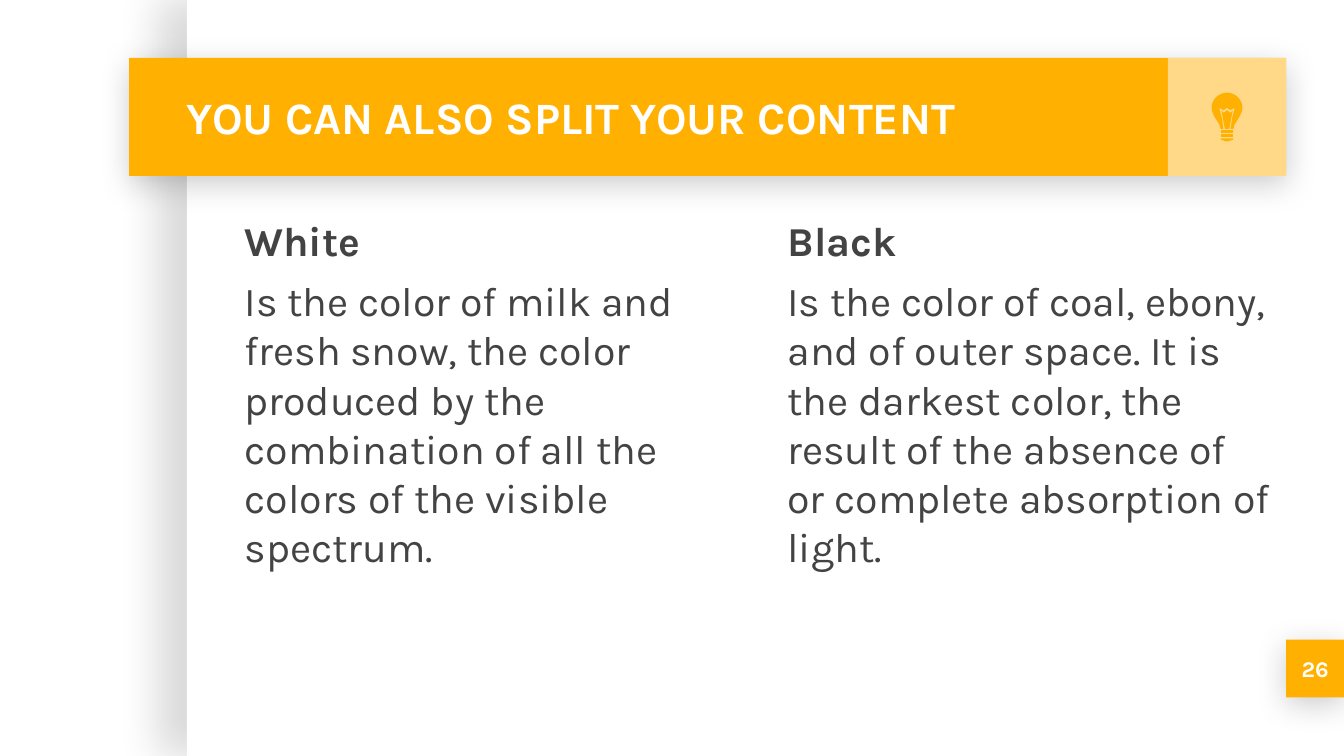
from math import cos, pi, sin

from lxml import etree
from pptx import Presentation
from pptx.dml.color import RGBColor
from pptx.enum.shapes import MSO_SHAPE
from pptx.enum.text import MSO_ANCHOR, MSO_AUTO_SIZE, PP_ALIGN
from pptx.oxml.ns import qn
from pptx.util import Inches, Pt

RECT = MSO_SHAPE.RECTANGLE
TOP, MIDDLE = MSO_ANCHOR.TOP, MSO_ANCHOR.MIDDLE
LEFT, CENTER = PP_ALIGN.LEFT, PP_ALIGN.CENTER
FIXED = MSO_AUTO_SIZE.NONE

TITLE = "YOU CAN ALSO SPLIT YOUR CONTENT"
COLUMNS = [
    ("White", "Is the color of milk and fresh snow, the color produced by "
              "the combination of all the colors of the visible spectrum."),
    ("Black", "Is the color of coal, ebony, and of outer space. It is the "
              "darkest color, the result of the absence of or complete "
              "absorption of light."),
]
PAGE = "26"

THEME = {
    "font": "Karla", "white": "FFFFFF", "accent": "FFB000", "ink": "434343",
    "title": 24, "body": 22, "page": 12,
}
WIDE = 10
HIGH = WIDE * 9 / 16
EDGE, BAR_TOP, BAR = 9.57, 0.43, 0.88
BADGE = (EDGE, 4.76, 0.43, 0.43)
SIDE = {"alpha": 15, "blur": 22.5, "dist": 15, "angle": 180}
DROP = {"alpha": 20, "blur": 16.9, "dist": 3.8, "angle": 90}
TILES = [
    ((1.39, 0, WIDE - 1.39, HIGH), "white", 100, SIDE),
    (BADGE, "accent", 100, DROP),
    ((0.96, BAR_TOP, EDGE - 0.96, BAR), "accent", 100, DROP),
    ((EDGE - BAR, BAR_TOP, BAR, BAR), "white", 53, None),
]
COL_X, COL_Y, COL_W, COL_H, COL_STEP = 1.72, 1.5, 3.81, 3.7, 4.04

# Right halves of the bulb, in hundredths of an inch from its top centre.
BULB_X, BULB_Y, RADIUS, STEPS = 9.13, 0.69, 11.5, 12
DOME = [(RADIUS * sin(i * pi / 2 / STEPS), RADIUS * (1 - cos(i * pi / 2 / STEPS)))
        for i in range(STEPS + 1)]
GLASS = DOME + [
    (11, 14), (9.5, 17.5), (7, 21.5), (5.5, 24), (4.8, 27), (2.6, 27),
    (4, 18), (5.7, 12.2), (5.3, 11.6), (4.6, 11.8), (2.5, 13), (0.5, 11.5), (0, 11.4),
]
WIRE = [(0, 13), (2, 14.6), (3, 14.6), (4.2, 13.4), (1.6, 27)]
BANDS = [[(4.7, y), (4.7, y + 2)] for y in (31, 28)]
BASE = [(4.7, 34), (4.5, 35), (1, 36.2)]


def color(name):
    return RGBColor.from_string(THEME[name])


def paint(shape, name):
    shape.fill.solid()
    shape.fill.fore_color.rgb = color(name)
    shape.line.fill.background()
    shape.shadow.inherit = False


def fade(node, alpha):
    etree.SubElement(node, qn("a:alpha"), val=str(alpha * 1000))


def cast(shape, alpha, blur, dist, angle):
    effect = shape.element.spPr.find(qn("a:effectLst"))
    outer = etree.SubElement(
        effect, qn("a:outerShdw"), blurRad=str(Pt(blur)), dist=str(Pt(dist)),
        dir=str(angle * 60000), algn="bl", rotWithShape="0")
    fade(etree.SubElement(outer, qn("a:srgbClr"), val="000000"), alpha)


def add_tile(shapes, box, name, alpha, shade):
    tile = shapes.add_shape(RECT, *map(Inches, box))
    paint(tile, name)
    if alpha < 100:
        fade(tile.element.spPr.find(".//" + qn("a:srgbClr")), alpha)
    if shade:
        cast(tile, **shade)


def add_half(shapes, half):
    both = half + [(-x, y) for x, y in reversed(half)]
    dots = [(Inches(BULB_X + x / 100), Inches(BULB_Y + y / 100)) for x, y in both]
    path = shapes.build_freeform(*dots[0], scale=1.0)
    path.add_line_segments(dots[1:], close=True)
    paint(path.convert_to_shape(), "accent")


def write(shape, box, lines, size, name, anchor, align, gap=0):
    shape.left, shape.top, shape.width, shape.height = map(Inches, box)
    frame = shape.text_frame
    frame.text = "\n".join(lines)
    frame.word_wrap = True
    frame.auto_size = FIXED
    frame.vertical_anchor = anchor
    frame.margin_left = frame.margin_right = Inches(0.1)
    frame.margin_top = frame.margin_bottom = Inches(0.1)
    for i, para in enumerate(frame.paragraphs):
        para.alignment = align
        para.space_before = Pt(gap)
        props = para._p.get_or_add_pPr()
        props.set("marL", "0")
        props.set("indent", "0")
        etree.SubElement(props, qn("a:buNone"))
        font = para.runs[0].font
        font.name, font.size, font.bold = THEME["font"], Pt(THEME[size]), i == 0
        font.color.rgb = color(name)


def main():
    deck = Presentation()
    deck.slide_width, deck.slide_height = Inches(WIDE), Inches(HIGH)
    slide = deck.slides.add_slide(deck.slide_layouts[3])
    shapes = slide.shapes
    title, *bodies = list(slide.placeholders)

    for tile in TILES:
        add_tile(shapes, *tile)

    for i, (body, lines) in enumerate(zip(bodies, COLUMNS)):
        box = (COL_X + i * COL_STEP, COL_Y, COL_W, COL_H)
        write(body, box, lines, "body", "ink", TOP, LEFT, 6)
    write(title, (1.29, BAR_TOP, 7.37, BAR), [TITLE], "title", "white", MIDDLE, LEFT)
    for holder in (bodies[0], title, bodies[1]):
        shapes.element.append(holder.element)

    page = shapes.add_textbox(*map(Inches, BADGE))
    write(page, BADGE, [PAGE], "page", "white", MIDDLE, CENTER)

    bulb = shapes.add_group_shape()
    for half in [*BANDS, BASE, WIRE, GLASS]:
        add_half(bulb.shapes, half)

    deck.save("out.pptx")


if __name__ == "__main__":
    main()
